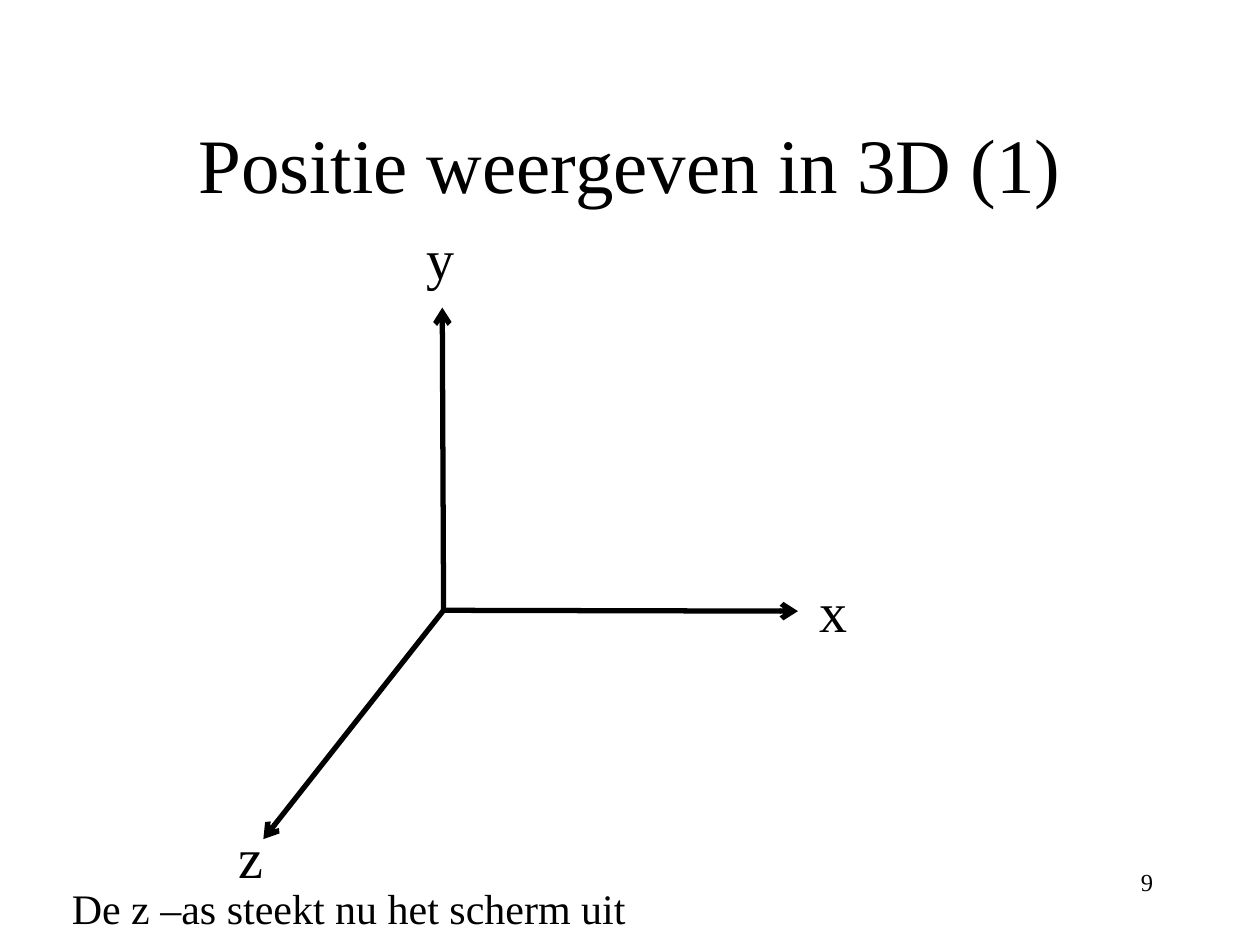
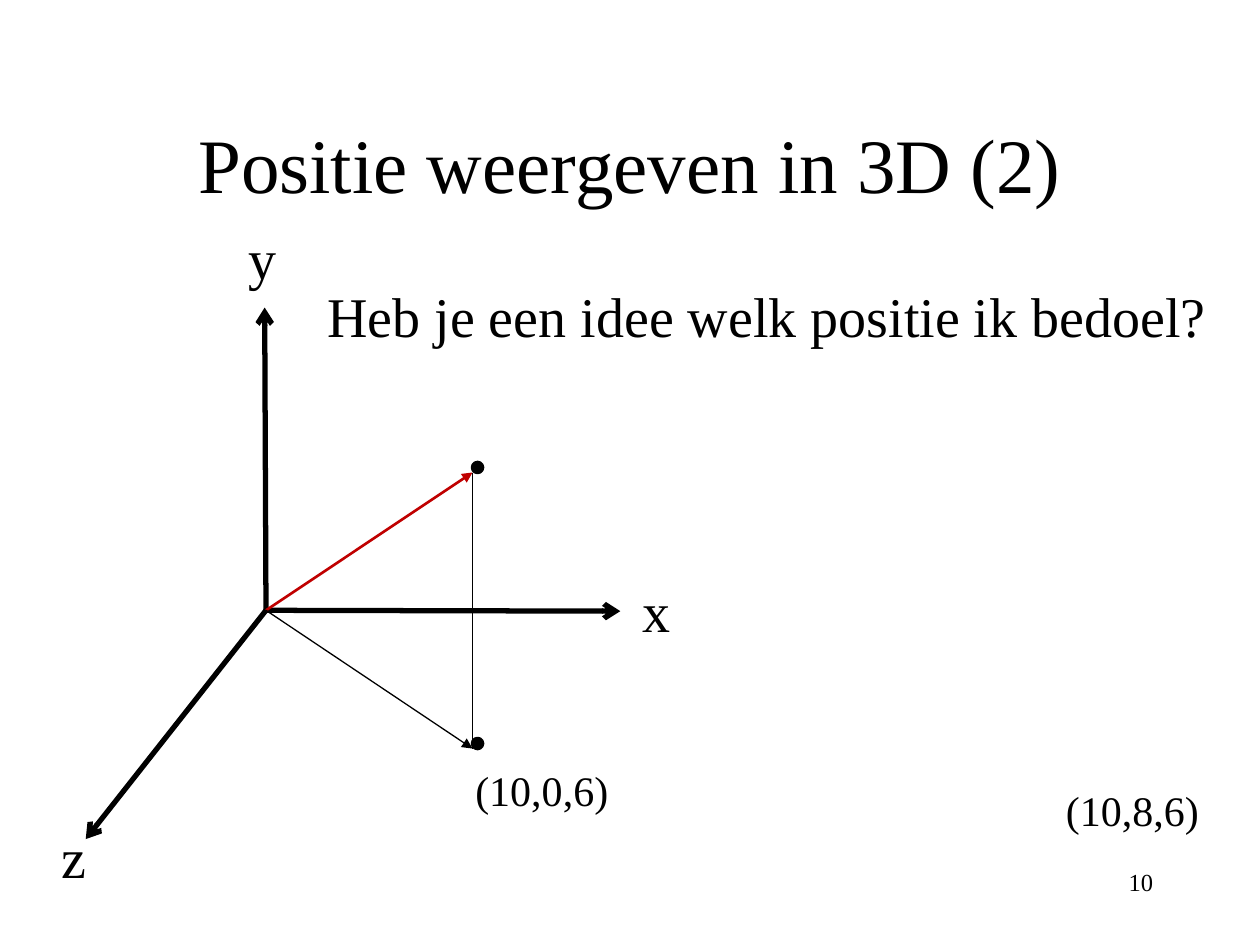
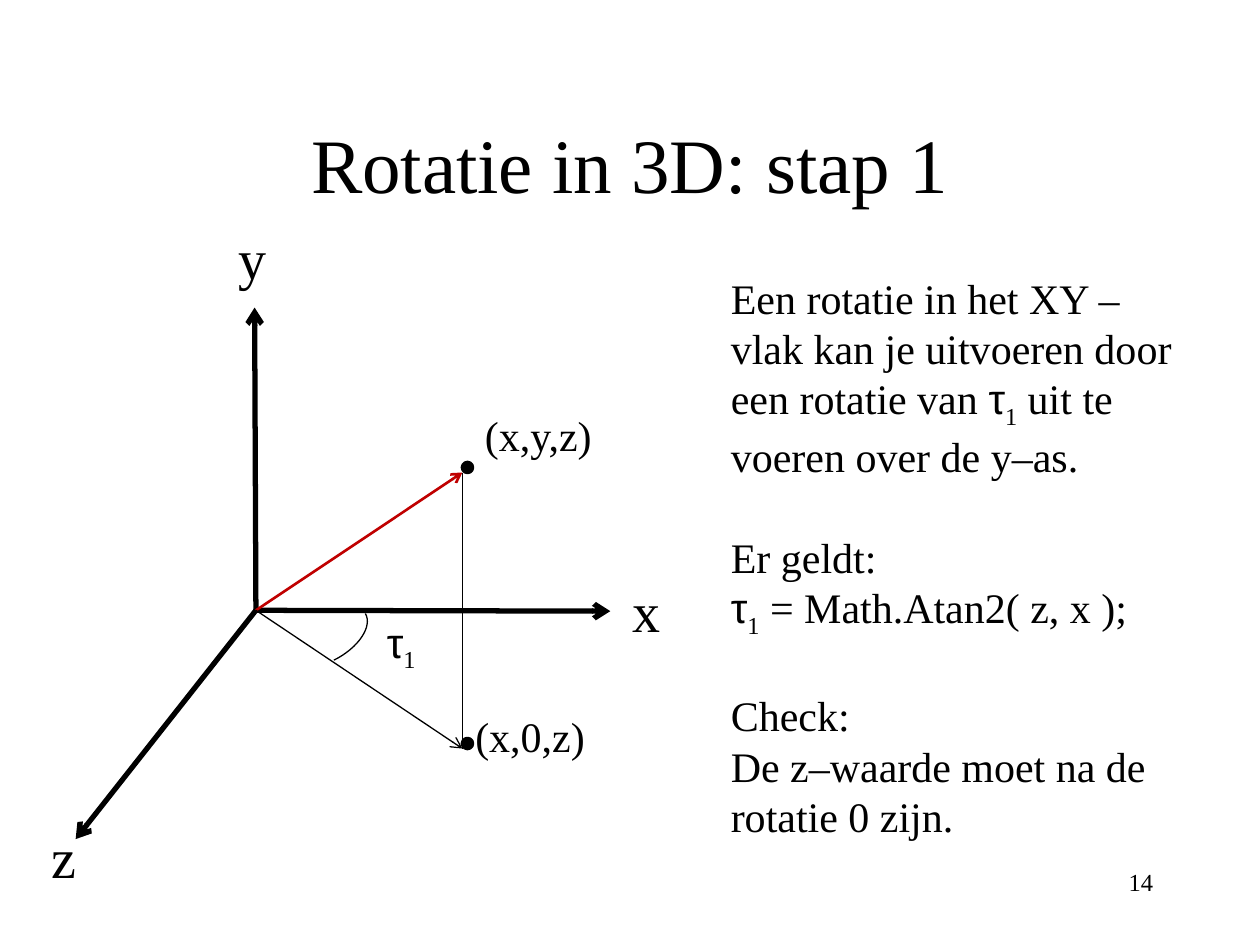
"""Build three slides about positions and rotation in 3D."""
from dataclasses import dataclass

import lxml.etree
import pptx
import pptx.dml.color
import pptx.enum.shapes
import pptx.enum.text
import pptx.oxml.ns
import pptx.presentation
import pptx.shapes.connector
import pptx.slide
import pptx.util

Pt = pptx.util.Pt
Align = pptx.enum.text.PP_ALIGN
Anchor = pptx.enum.text.MSO_ANCHOR

BLACK = pptx.dml.color.RGBColor(0x00, 0x00, 0x00)
RED = pptx.dml.color.RGBColor(0xC0, 0x00, 0x00)
WHITE = pptx.dml.color.RGBColor(0xFF, 0xFF, 0xFF)
SERIF = "Times New Roman"
GREEK = "Arial"

ORIGIN_Y = 348.75
TIP_DX = 118
TIP_Y = 270
FOOT_Y = 427.75
DOT = 5.75


@dataclass(frozen=True)
class Piece:
    """A stretch of text in one font and position."""

    text: str
    font: str = ""
    subscript: bool = False


@dataclass(frozen=True)
class Line:
    """A paragraph with the space above it."""

    pieces: tuple[Piece, ...]
    gap: float = 0


@dataclass(frozen=True)
class Label:
    """A text box with its place and style."""

    lines: tuple[Line, ...]
    left: float
    top: float
    width: float
    height: float
    size: float = 24
    align: Align = Align.LEFT
    anchor: Anchor = Anchor.TOP


@dataclass(frozen=True)
class Stroke:
    """A straight line with an optional arrowhead at its end."""

    start: tuple[float, float]
    end: tuple[float, float]
    width: float = 0.75
    head: str = ""
    color: pptx.dml.color.RGBColor = BLACK


ANGLE = (Piece("τ", GREEK), Piece("1", subscript=True))


def plain(text: str, gap: float = 0) -> Line:
    """Return a paragraph with one piece of text."""
    return Line((Piece(text),), gap)


EXPLANATION = (
    Line((
        Piece("Een rotatie in het XY –vlak kan je uitvoeren door een rotatie van "),
        *ANGLE,
        Piece(" uit te voeren over de y–as."),
    )),
    plain("Er geldt:", gap=29),
    Line((*ANGLE, Piece(" = Math.Atan2( z, x );"))),
    plain("Check:", gap=29),
    plain("De z–waarde moet na de rotatie 0 zijn."),
)


def draw_label(slide: pptx.slide.Slide, label: Label) -> None:
    """Draw a text box."""
    box = slide.shapes.add_textbox(
        Pt(label.left), Pt(label.top), Pt(label.width), Pt(label.height))
    frame = box.text_frame
    frame.word_wrap = True
    frame.vertical_anchor = label.anchor
    for index, line in enumerate(label.lines):
        paragraph = frame.add_paragraph() if index else frame.paragraphs[0]
        paragraph.alignment = label.align
        if line.gap:
            paragraph.space_before = Pt(line.gap)
        paragraph.font.name = SERIF
        paragraph.font.size = Pt(label.size)
        paragraph.font.color.rgb = BLACK
        for piece in line.pieces:
            run = paragraph.add_run()
            run.text = piece.text
            if piece.font:
                run.font.name = piece.font
            if piece.subscript:
                run._r.get_or_add_rPr().set("baseline", "-25000")


def draw_stroke(slide: pptx.slide.Slide, stroke: Stroke) -> None:
    """Draw a straight line or arrow."""
    connector = slide.shapes.add_connector(
        pptx.enum.shapes.MSO_CONNECTOR.STRAIGHT,
        *(Pt(value) for value in (*stroke.start, *stroke.end)))
    connector.line.color.rgb = stroke.color
    connector.line.width = Pt(stroke.width)
    qn = pptx.oxml.ns.qn
    if stroke.head:
        outline = connector.line._get_or_add_ln()
        lxml.etree.SubElement(outline, qn("a:tailEnd"), type=stroke.head)
    lxml.etree.SubElement(connector._element.spPr, qn("a:effectLst"))


def draw_axes(slide: pptx.slide.Slide, origin_x: float) -> None:
    """Draw the x, y and z axes with their names."""
    origin = (origin_x, ORIGIN_Y)
    axes = (
        ("x", (202.5, 349.25), (208, 326)),
        ("y", (-0.75, 175.75), (-17, 124)),
        ("z", (-103, 479.5), (-124, 466.5)),
    )
    for name, (end_dx, end_y), (name_dx, name_y) in axes:
        draw_stroke(slide, Stroke(origin, (origin_x + end_dx, end_y), 3, "arrow"))
        draw_label(slide, Label(
            (plain(name),), origin_x + name_dx, name_y, 28, 46, size=32))


def draw_vector(slide: pptx.slide.Slide, origin_x: float, head: str) -> None:
    """Draw a position vector, its projection and both end points."""
    origin = (origin_x, ORIGIN_Y)
    tip_x = origin_x + TIP_DX
    tip, foot = (tip_x, TIP_Y), (tip_x, FOOT_Y)
    draw_stroke(slide, Stroke(origin, tip, 1.5, head, RED))
    draw_stroke(slide, Stroke(tip, foot))
    draw_stroke(slide, Stroke(origin, foot, head=head))
    for end_y in (TIP_Y, FOOT_Y):
        dot = slide.shapes.add_shape(
            pptx.enum.shapes.MSO_SHAPE.OVAL,
            Pt(tip_x), Pt(end_y - DOT), Pt(DOT), Pt(DOT))
        dot.shadow.inherit = False
        dot.fill.solid()
        dot.fill.fore_color.rgb = BLACK
        dot.line.color.rgb = BLACK
        dot.line.width = Pt(2)


def draw_angle_arc(slide: pptx.slide.Slide) -> None:
    """Draw the arc between the x axis and the projection."""
    controls = ((208.8, 350.6), (213.1, 357.8), (205.2, 370.1), (190.8, 377.3))
    steps = 16
    points = []
    for step in range(steps + 1):
        t = step / steps
        weights = ((1 - t) ** 3, 3 * t * (1 - t) ** 2, 3 * t * t * (1 - t), t ** 3)
        points.append(tuple(
            Pt(sum(weight * control[axis] for weight, control in zip(weights, controls)))
            for axis in (0, 1)))
    builder = slide.shapes.build_freeform(*points[0])
    builder.add_line_segments(points[1:], close=False)
    arc = builder.convert_to_shape()
    arc.shadow.inherit = False
    arc.fill.background()
    arc.line.color.rgb = BLACK
    arc.line.width = Pt(0.75)


def add_axes_slide(
    deck: pptx.presentation.Presentation, title: str, number: int, origin_x: float
) -> pptx.slide.Slide:
    """Add a slide with a title, a page number and axes."""
    slide = deck.slides.add_slide(deck.slide_layouts[6])
    slide.background.fill.solid()
    slide.background.fill.fore_color.rgb = WHITE
    draw_label(slide, Label(
        (plain(title),), 54, 48, 612, 90, 44, Align.CENTER, Anchor.MIDDLE))
    draw_label(slide, Label(
        (plain(str(number)),), 516, 492, 150, 36, 14, Align.RIGHT))
    draw_axes(slide, origin_x)
    return slide


def main() -> None:
    """Build and save the slides."""
    deck = pptx.Presentation()
    deck.slide_width, deck.slide_height = Pt(720), Pt(540)

    axes = add_axes_slide(deck, "Positie weergeven in 3D (1)", 9, 253.5)
    draw_label(axes, Label(
        (plain("De z –as steekt nu het scherm uit"),), 34, 500.5, 338, 36))

    position_x = 152
    position = add_axes_slide(deck, "Positie weergeven in 3D (2)", 10, position_x)
    draw_vector(position, position_x, "triangle")
    for label in (
        Label((plain("Heb je een idee welk positie ik bedoel?"),),
              180, 157.5, 540, 46, size=32),
        Label((plain("(10,8,6)"),), 602, 444.5, 101.5, 36),
        Label((plain("(10,0,6)"),), 264.5, 433.5, 101.5, 36),
    ):
        draw_label(position, label)

    rotation_x = 146.25
    rotation = add_axes_slide(deck, "Rotatie in 3D: stap 1", 14, rotation_x)
    draw_vector(rotation, rotation_x, "arrow")
    draw_angle_arc(rotation)
    for label in (
        Label((plain("(x,y,z)"),), 270, 230.5, 84, 36),
        Label((plain("(x,0,z)"),), 264.5, 402.5, 84, 36),
        Label((Line(ANGLE),), 214, 348.5, 39.5, 40),
        Label(EXPLANATION, 410.5, 152, 270, 332),
    ):
        draw_label(rotation, label)

    deck.save("out.pptx")


if __name__ == "__main__":
    main()
